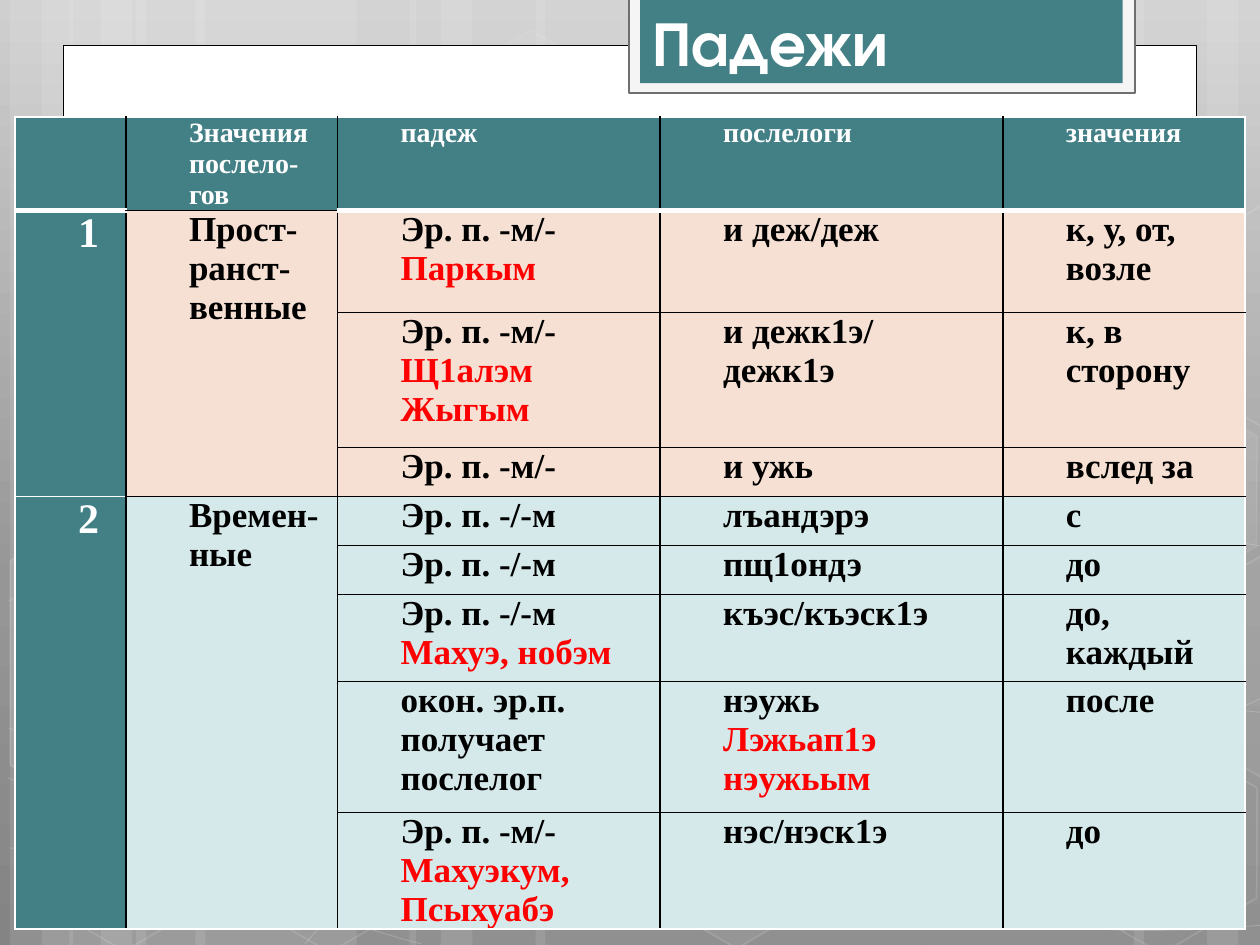
from math import cos, radians, sin
from lxml.etree import SubElement
from pptx import Presentation
from pptx.dml.color import RGBColor
from pptx.enum.shapes import MSO_SHAPE
from pptx.enum.text import MSO_ANCHOR, MSO_AUTO_SIZE, PP_ALIGN
from pptx.oxml.ns import qn
from pptx.util import Inches, Pt

WHITE = RGBColor(0xFF, 0xFF, 0xFF)
BLACK = RGBColor(0, 0, 0)
RED = RGBColor(0xFF, 0, 0)
TEAL = RGBColor(0x43, 0x80, 0x86)
PEACH = RGBColor(0xF5, 0xE0, 0xD3)
MINT = RGBColor(0xD6, 0xE9, 0xEA)
PALE = RGBColor(0xF5, 0xF5, 0xF5)
GRAY = RGBColor(0x6F, 0x6F, 0x6F)
STOPS = [(0, RGBColor(0xCF, 0xCF, 0xCF)), (0.62, RGBColor(0x96, 0x96, 0x96)),
         (1, RGBColor(0x84, 0x84, 0x84))]

BANDS = [(1.08, 1.75), (0.08, 0.5), (0.33, 0.83), (1.55, 1.75), (0.55, 0.5), (0.8, 0.83),
         (7.33, 1.75), (9.58, 0.5), (9, 0.83), (4.25, 3.08), (3.25, 0.5), (3.5, 0.83)]
ARCS = [
    [(0.07, 6.73), (0.61, 6.76), (1.15, 6.79), (1.9, 6.78), (2.65, 6.77), (3.58, 6.75),
     (4.58, 6.65), (5.58, 6.55), (7, 6.36), (7.92, 6.17), (8.83, 5.98), (9.77, 5.68),
     (10.07, 5.51)],
    [(0.07, 4.77), (0.36, 4.61), (0.65, 4.46), (1.21, 4.31), (1.78, 4.16), (2.59, 3.94),
     (3.47, 3.87), (4.36, 3.8), (5.44, 3.79), (6.54, 3.87), (7.64, 3.95), (9.47, 4.26),
     (10.07, 4.34)],
    [(0.06, 6.17), (1.27, 6.72), (2.47, 7.27), (3.34, 7.49)],
    [(0.07, 5.78), (0.38, 5.89), (0.7, 6), (1.28, 6.16), (1.86, 6.31), (2.73, 6.56),
     (3.57, 6.73), (4.4, 6.9), (5.45, 7.08), (6.28, 7.18), (7.11, 7.29), (8, 7.33),
     (8.53, 7.36), (9.05, 7.4), (9.19, 7.38), (9.45, 7.38), (9.71, 7.37), (9.89, 7.35),
     (10.07, 7.34)],
    [(2.42, 7.49), (2.6, 7.29), (2.78, 7.09), (3.02, 6.91), (3.26, 6.73), (3.6, 6.53),
     (3.88, 6.39), (4.16, 6.25), (4.33, 6.19), (4.7, 6.09), (5.06, 5.99), (5.73, 5.85),
     (6.08, 5.78), (6.44, 5.71), (6.49, 5.71), (6.8, 5.69), (7.11, 5.66), (7.6, 5.63),
     (7.94, 5.62), (8.29, 5.61), (8.86, 5.62), (8.86, 5.62), (8.86, 5.62), (9.53, 5.62),
     (9.53, 5.62), (9.71, 5.63), (9.88, 5.64), (9.97, 5.65), (10.06, 5.66), (10.03, 5.65),
     (10.06, 5.66)],
]
HEXES = [(3.34, 0.36, 4, 8), (4.97, 5.89, 6, 12), (0.11, 5.91, 0, 12), (0.14, 3.12, 7, 8),
         (1.74, 5.92, 0, 12), (7.53, 4.53, 10, 12), (8.34, 5.93, 0, 12), (8.34, 3.14, 7, 8)]
PARTS = [
    ([(0.08, 4.45), (0.19, 4.38), (0.96, 4.82), (0.95, 5.7), (0.2, 6.14), (0.08, 6.07)],
     (0.36, 5.35), 10),
    ([(9.26, 4.85), (10.01, 4.41), (10.09, 4.46), (10.09, 6.13), (10.02, 6.17),
      (9.26, 5.73)], (9.85, 5.2), 4),
    ([(9.26, 2.07), (10.01, 1.63), (10.1, 1.68), (10.09, 3.35), (10.02, 3.39),
      (9.26, 2.95)], (9.85, 2.41), 0),
]
TILT = 30

COLS = [0.88, 1.68, 2.56, 2.72, 1.92]
ROWS = [0.65, 0.81, 1.07, 0.39, 0.39, 0.39, 0.69, 1.04, 0.75]
SPANS = {(1, 0): 3, (1, 1): 3, (4, 0): 5, (4, 1): 5}
CELLS = [
    ["", "Значения послело-гов", "падеж", "послелоги", "значения"],
    ["1", "Прост-ранст-венные", "Эр. п. -м/-|Паркым", "и деж/деж", "к, у, от, возле"],
    ["", "", "Эр. п. -м/-|Щ1алэм\nЖыгым", "и дежк1э/\nдежк1э", "к, в сторону"],
    ["", "", "Эр. п. -м/-", "и ужь", "вслед за"],
    ["2", "Времен-ные", "Эр. п. -/-м", "лъандэрэ", "с"],
    ["", "", "Эр. п. -/-м", "пщ1ондэ", "до"],
    ["", "", "Эр. п. -/-м|Махуэ, нобэм", "къэс/къэск1э", "до, каждый"],
    ["", "", "окон. эр.п. получает послелог", "нэужь|Лэжьап1э нэужьым", "после"],
    ["", "", "Эр. п. -м/-|Махуэкум, Псыхуабэ", "нэс/нэск1э", "до"],
]


def put(thing, vals):
    """Set each named format value on an object."""
    for name, val in vals.items():
        setattr(thing, name, val)


def fade(node, part):
    """Give the solid fill under a node an opacity in percent."""
    if part < 100:
        SubElement(node.find(qn("a:solidFill"))[0], qn("a:alpha"), val=str(part * 1000))


def paint(shape, fill=None, line=None, width=1, clear=100, dim=100):
    """Set fill and line with their opacity."""
    shape.shadow.inherit = False
    frame = shape._element.spPr
    if fill is None or not clear:
        shape.fill.background()
    else:
        shape.fill.solid()
        shape.fill.fore_color.rgb = fill
        fade(frame, clear)
    if line is None:
        shape.line.fill.background()
    else:
        shape.line.color.rgb = line
        shape.line.width = Pt(width)
        fade(frame.find(qn("a:ln")), dim)


def block(slide, box, kind=MSO_SHAPE.RECTANGLE, **style):
    """Add a painted preset shape."""
    shape = slide.shapes.add_shape(kind, *map(Inches, box))
    paint(shape, **style)
    return shape


def trace(slide, spots, close, **style):
    """Add a painted outline through the given points."""
    spots = [(Inches(x), Inches(y)) for x, y in spots]
    pen = slide.shapes.build_freeform(*spots[0], scale=1.0)
    pen.add_line_segments(spots[1:], close=close)
    shape = pen.convert_to_shape()
    paint(shape, **style)
    return shape


def bend(shape):
    """Turn each three straight steps of an outline into one cubic curve."""
    steps = list(shape._element.iter(qn("a:lnTo")))
    for i in range(0, len(steps), 3):
        curve = SubElement(steps[i].getparent(), qn("a:cubicBezTo"))
        for step in steps[i:i + 3]:
            curve.append(step[0])
            step.getparent().remove(step)


def turn(spot, mid, angle):
    """Rotate a point about a centre by degrees."""
    x, y = spot[0] - mid[0], spot[1] - mid[1]
    c, s = cos(radians(angle)), sin(radians(angle))
    return mid[0] + x * c - y * s, mid[1] + x * s + y * c


def scene(slide):
    """Draw the gradient, bands, arcs and hexagons."""
    fill = slide.background.fill
    fill.gradient()
    fill.gradient_angle = 270
    chain = slide._element.find(".//" + qn("a:gsLst"))
    stop = SubElement(chain, qn("a:gs"), pos="0")
    SubElement(stop, qn("a:srgbClr"), val="FFFFFF")
    for stop, (place, tone) in zip(fill.gradient_stops, STOPS):
        stop.position = place
        stop.color.rgb = tone
    for x, wide in BANDS:
        block(slide, (x, 0, wide, 7.5), fill=WHITE, clear=10)
    for knots in ARCS:
        bend(trace(slide, knots, False, line=WHITE, width=0.5, dim=20))
    for x, y, clear, dim in HEXES:
        cell = block(slide, (x, y, 1.75, 1.52), MSO_SHAPE.HEXAGON,
                     fill=WHITE, clear=clear, line=WHITE, dim=dim)
        cell.rotation = TILT
        cell.adjustments[0] = 0.285
    for spots, mid, clear in PARTS:
        flat = [turn(spot, mid, -TILT) for spot in spots + spots[:1]]
        part = trace(slide, flat, True, fill=WHITE, clear=clear, line=WHITE, dim=12)
        part.rotation = TILT


def head(slide):
    """Place the title on its framed plate."""
    block(slide, (0.5, 0.36, 9, 6.76), fill=WHITE, line=BLACK, width=0.5)
    block(slide, (4.99, -0.02, 4.02, 0.76), fill=PALE, line=GRAY, width=1.25)
    block(slide, (5.08, -0.02, 3.83, 0.68), fill=TEAL)
    title = slide.shapes.title
    slide.shapes._spTree.append(title._element)
    put(title, dict(left=Inches(5.08), top=Inches(0.02), width=Inches(3.86),
                    height=Inches(0.66)))
    put(title.text_frame, dict(text="Падежи", vertical_anchor=MSO_ANCHOR.BOTTOM,
                               auto_size=MSO_AUTO_SIZE.NONE))
    line = title.text_frame.paragraphs[0]
    line.alignment = PP_ALIGN.LEFT
    put(line.runs[0].font, dict(name="TeX Gyre Adventor", size=Pt(36), bold=True))
    line.runs[0].font.color.rgb = WHITE


def write(cell, text, size, tone):
    """Fill a cell with indented lines, those after the bar in red."""
    lines = [(line, shade) for part, shade in zip(text.split("|"), (tone, RED))
             for line in part.split("\n")]
    frame = cell.text_frame
    for i, (words, shade) in enumerate(lines):
        para = frame.add_paragraph() if i else frame.paragraphs[0]
        props = para._p.get_or_add_pPr()
        props.set("marL", str(Inches(0.5)))
        props.set("indent", "0")
        tabs = SubElement(props, qn("a:tabLst"))
        SubElement(tabs, qn("a:tab"), pos=str(Inches(0.69)), algn="l")
        run = para.add_run()
        run.text = words
        put(run.font, dict(name="Times New Roman", size=Pt(size), bold=True))
        run.font.color.rgb = shade


def rule(cell, row, col):
    """Draw the four borders of a cell."""
    end = row + SPANS.get((row, col), 1)
    sides = {"L": (WHITE if col == 0 else BLACK, 1),
             "R": (WHITE if col == 4 else BLACK, 1),
             "T": (WHITE if row == 0 or col == 0 else BLACK, 1),
             "B": (WHITE if end == len(ROWS) or col == 0 else BLACK, 1)}
    if row < 2 and col != 1:
        sides["B" if row == 0 else "T"] = (WHITE, 3)
    props = cell._tc.get_or_add_tcPr()
    for i, (side, (tone, width)) in enumerate(sides.items()):
        line = props.makeelement(qn("a:ln" + side), {"w": str(Pt(width))})
        SubElement(SubElement(line, qn("a:solidFill")), qn("a:srgbClr"), val=str(tone))
        props.insert(i, line)


def grid(slide):
    """Add the table of cases."""
    frame = slide.shapes.add_table(len(ROWS), len(COLS), *map(Inches, (0.12, 0.93, 9.76, 6.57)))
    table = frame.table
    put(table, dict(first_row=False, horz_banding=False))
    for band, wide in zip(table.columns, COLS):
        band.width = Inches(wide)
    for band, high in zip(table.rows, ROWS):
        band.height = Inches(high)
    frame.height = Inches(6.57)
    for (row, col), span in SPANS.items():
        table.cell(row, col).merge(table.cell(row + span - 1, col))
    for row, texts in enumerate(CELLS):
        for col, text in enumerate(texts):
            cell = table.cell(row, col)
            put(cell, dict.fromkeys(
                ("margin_left", "margin_right", "margin_top", "margin_bottom"), 0))
            dark = row == 0 or col == 0
            cell.fill.solid()
            cell.fill.fore_color.rgb = TEAL if dark else PEACH if row < 4 else MINT
            rule(cell, row, col)
            if text:
                size = 16 if row == 0 else 24 if col == 0 else 20
                write(cell, text, size, WHITE if dark else BLACK)


def main():
    """Build and save the slide."""
    deck = Presentation()
    put(deck, dict(slide_width=Inches(10), slide_height=Inches(7.5)))
    slide = deck.slides.add_slide(deck.slide_layouts[5])
    scene(slide)
    head(slide)
    grid(slide)
    deck.save("out.pptx")


if __name__ == "__main__":
    main()
